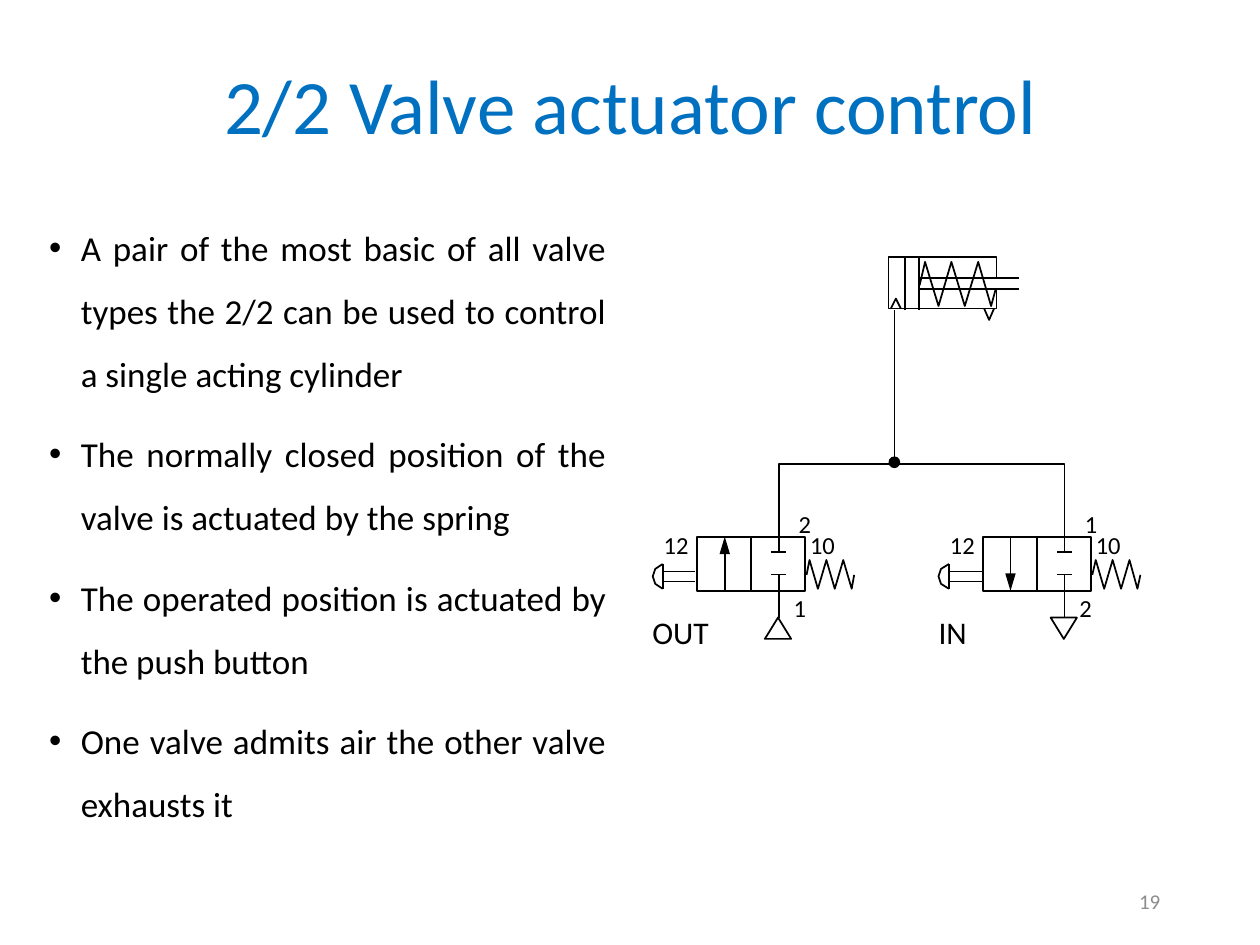
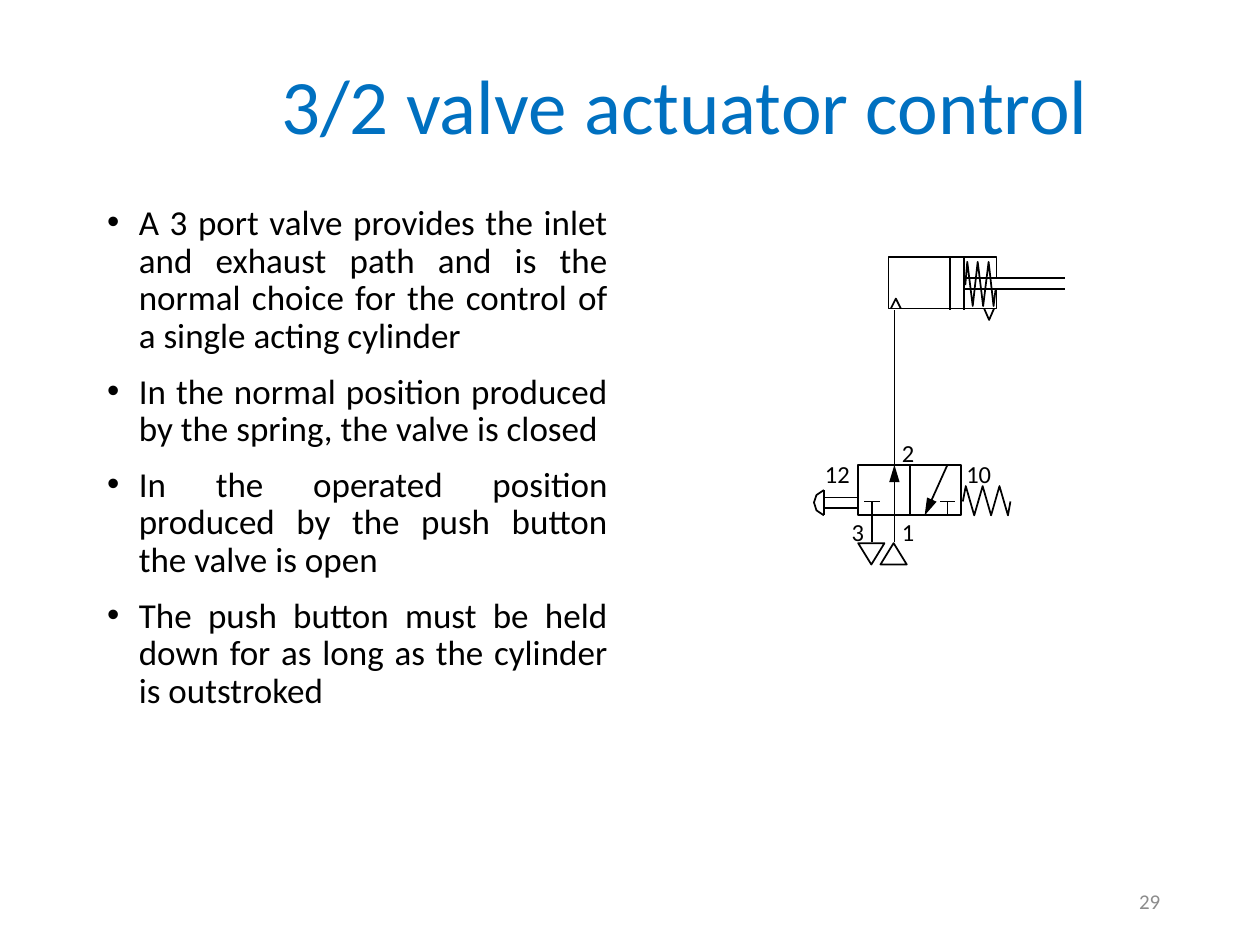
from lxml import etree
from pptx import Presentation
from pptx import util as u
from pptx.dml.color import RGBColor
from pptx.enum import shapes, text
from pptx.oxml.ns import qn

COLORS = {"title": "0070C0", "ink": "000000", "page": "8C8C8C"}
FONT = "Calibri"
SHAPE = shapes.MSO_SHAPE
ALIGN = text.PP_ALIGN
CM_PER_UNIT = 2.54
CYLINDER = (7.05, 2.04, 0.86, 0.42)
PIPE_X = 7.1
JUNCTION_Y = 3.68


def cm(v):
    return u.Cm(round(v * CM_PER_UNIT, 2))


def rgb(name):
    return RGBColor.from_string(COLORS[name])


def style_line(line):
    line.color.rgb = rgb("ink")
    line.width = u.Pt(1)


def style_shape(sp, filled=False):
    sp.shadow.inherit = False
    if filled:
        sp.fill.solid()
        sp.fill.fore_color.rgb = rgb("ink")
    else:
        sp.fill.background()
    style_line(sp.line)
    return sp


def style_runs(p, size, color):
    for r in p.runs:
        r.font.name = FONT
        r.font.size = u.Pt(size)
        r.font.color.rgb = rgb(color)


def add_text(s, box, content, size, color="ink", align=ALIGN.LEFT, wrap=True, middle=False):
    tf = s.shapes.add_textbox(*map(cm, box)).text_frame
    tf.word_wrap = wrap
    if middle:
        tf.vertical_anchor = text.MSO_ANCHOR.MIDDLE
    p = tf.paragraphs[0]
    p.text = content
    p.alignment = align
    style_runs(p, size, color)
    return p


def add_label(s, x, y, content, size=14):
    width = 0.22 + 0.01 * size * len(content)
    add_text(s, (x, y, width, size / 42), content, size, wrap=False)


def add_bullets(s, box, items, spacing):
    tf = s.shapes.add_textbox(*map(cm, box)).text_frame
    tf.word_wrap = True
    for i, item in enumerate(items):
        p = tf.add_paragraph() if i else tf.paragraphs[0]
        p.text = item
        pPr = p._p.get_or_add_pPr()
        pPr.set("marL", str(cm(0.25)))
        pPr.set("indent", str(-cm(0.25)))
        etree.SubElement(pPr, qn("a:buFont")).set("typeface", "Arial")
        etree.SubElement(pPr, qn("a:buChar")).set("char", "•")
        p.alignment = ALIGN.JUSTIFY
        p.line_spacing = spacing
        if i:
            p.space_before = u.Pt(10)
        style_runs(p, 20, "ink")


def add_line(s, x1, y1, x2, y2, arrow=False):
    c = s.shapes.add_connector(shapes.MSO_CONNECTOR.STRAIGHT, *map(cm, (x1, y1, x2, y2)))
    style_line(c.line)
    spPr = c._element.spPr
    etree.SubElement(spPr, qn("a:effectLst"))
    if arrow:
        tail = etree.SubElement(spPr.find(qn("a:ln")), qn("a:tailEnd"))
        for key, value in (("type", "triangle"), ("w", "med"), ("len", "lg")):
            tail.set(key, value)
    return c


def add_path(s, points):
    (x, y), *rest = [(cm(px), cm(py)) for px, py in points]
    builder = s.shapes.build_freeform(x, y)
    builder.add_line_segments(rest, close=False)
    return style_shape(builder.convert_to_shape())


def add_preset(s, kind, box, filled=False):
    return style_shape(s.shapes.add_shape(kind, *map(cm, box)), filled)


def add_spring(s, x, y, w, h, right_end=0.52):
    zigzag = [(0.07 + 0.175 * k, k % 2) for k in range(6)]
    add_path(s, [(x + fx * w, y + fy * h) for fx, fy in [(0, 0.52), *zigzag, (1, right_end)]])


def add_port(s, x, y, exhaust=False):
    sp = add_preset(s, SHAPE.ISOSCELES_TRIANGLE, (x - 0.11, y, 0.21, 0.17))
    if exhaust:
        sp.rotation = 180


def add_blocked_port(s, x, edge_y, bar_y):
    add_line(s, x, edge_y, x, bar_y)
    add_line(s, x - 0.06, bar_y, x + 0.06, bar_y)


def add_push_button(s, x, y):
    edge = x + 0.08
    add_line(s, edge, y, edge, y + 0.2)
    add_path(s, [(edge, y), (x + 0.02, y + 0.04), (x, y + 0.1),
                 (x + 0.02, y + 0.16), (edge, y + 0.2)])
    for dy in (0.06, 0.14):
        add_line(s, edge, y + dy, x + 0.34, y + dy)


def add_valve(s, x, y, w, h):
    body = add_preset(s, SHAPE.RECTANGLE, (x, y, w, h))
    divider = add_line(s, x + w / 2, y, x + w / 2, y + h)
    divider.begin_connect(body, 0)
    divider.end_connect(body, 2)
    add_push_button(s, x - 0.35, y + h / 2)
    add_spring(s, x + w + 0.01, y + h / 2 - 0.03, 0.38, 0.23)
    add_label(s, x - 0.36, y - 0.1, "12")
    add_label(s, x + w - 0.06, y - 0.1, "10")


def add_two_port_valve(s, x, name, top, bottom, exhaust):
    y, w, h = 4.26, 0.86, 0.43
    port_x = x + 0.65
    add_valve(s, x, y, w, h)
    ends = (y, y + h) if exhaust else (y + h, y)
    add_line(s, x + 0.22, ends[0], x + 0.22, ends[1], arrow=True)
    add_blocked_port(s, port_x, y, y + 0.12)
    add_blocked_port(s, port_x, y + h, y + 0.3)
    add_line(s, port_x, y + h, port_x, 4.9)
    add_port(s, port_x, 4.9, exhaust)
    add_label(s, port_x + 0.06, 3.99, top)
    add_label(s, port_x + 0.02, 4.66, bottom)
    add_label(s, x - 0.45, 4.82, name, 18)


def add_three_port_valve(s):
    x, y, w, h = 6.81, 3.69, 0.82, 0.4
    bottom, exhaust_x, closed_x = y + h, 6.92, 7.52
    add_valve(s, x, y, w, h)
    for port_x in (exhaust_x, closed_x):
        add_blocked_port(s, port_x, bottom, 3.98)
    add_line(s, PIPE_X, bottom, PIPE_X, y, arrow=True)
    add_line(s, closed_x, y, 7.34, bottom, arrow=True)
    for port_x, exhaust in ((PIPE_X, False), (exhaust_x, True)):
        add_line(s, port_x, bottom, port_x, 4.3)
        add_port(s, port_x, 4.31, exhaust)
    for lx, ly, number in ((7.06, 4.05, "1"), (7.06, 3.43, "2"), (6.66, 4.05, "3")):
        add_label(s, lx, ly, number)


def add_cylinder(s, piston_x):
    x, y, w, h = CYLINDER
    right, bottom = x + w, y + h - 0.01
    rod_x = piston_x + 0.12
    rod_ys = (y + 0.17, y + 0.25)
    add_path(s, [(right, rod_ys[0]), (right, y), (x, y), (x, bottom),
                 (right, bottom), (right, rod_ys[1])])
    for rod_y in rod_ys:
        add_line(s, rod_x, rod_y, rod_x + 0.79, rod_y)
    for face_x in (piston_x, piston_x + 0.11):
        add_line(s, face_x, y, face_x, y + h)
    add_spring(s, rod_x, y + 0.04, right - 0.01 - rod_x, 0.35, 0.63)
    for port_x, dy in ((x + 0.02, -0.08), (x + 0.76, 0.09)):
        add_path(s, [(port_x, bottom), (port_x + 0.04, bottom + dy), (port_x + 0.08, bottom)])
    add_line(s, PIPE_X, y + h, PIPE_X, JUNCTION_Y)


def add_slide(prs, title, align, page):
    s = prs.slides.add_slide(prs.slide_layouts[6])
    p = add_text(s, (1.27, 0.46, 7.47, 0.81), title, 44, "title", align, middle=True)
    p.line_spacing = 0.9
    add_text(s, (7.06, 6.95, 2.25, 0.4), page, 12, "page", ALIGN.RIGHT, middle=True)
    return s


def build_two_port_slide(prs):
    s = add_slide(prs, "2/2 Valve actuator control", ALIGN.CENTER, "19")
    add_bullets(s, (0.29, 1.58, 4.62, 5.66), [
        "A pair of the most basic of all valve types the 2/2 can be used to control "
        "a single acting cylinder",
        "The normally closed position of the valve is actuated by the spring",
        "The operated position is actuated by the push button",
        "One valve admits air the other valve exhausts it",
    ], 1.5)
    add_cylinder(s, 7.18)
    add_two_port_valve(s, 5.53, "OUT", "2", "1", False)
    add_two_port_valve(s, 7.8, "IN", "1", "2", True)
    add_path(s, [(6.18, 4.26), (6.18, JUNCTION_Y), (8.45, JUNCTION_Y), (8.45, 4.26)])
    add_preset(s, SHAPE.OVAL, (PIPE_X - 0.04, JUNCTION_Y - 0.05, 0.08, 0.08), True)


def build_three_port_slide(prs):
    s = add_slide(prs, "3/2 valve actuator control", ALIGN.RIGHT, "29")
    add_bullets(s, (0.75, 1.58, 4.17, 4.92), [
        "A 3 port valve provides the inlet and exhaust path and is the normal choice "
        "for the control of a single acting cylinder",
        "In the normal position produced by the spring, the valve is closed",
        "In the operated position produced by the push button the valve is open",
        "The push button must be held down for as long as the cylinder is outstroked",
    ], 0.9)
    add_cylinder(s, 7.54)
    add_three_port_valve(s)


def main():
    prs = Presentation()
    prs.slide_width, prs.slide_height = cm(10), cm(7.5)
    build_two_port_slide(prs)
    build_three_port_slide(prs)
    prs.save("out.pptx")


if __name__ == "__main__":
    main()
